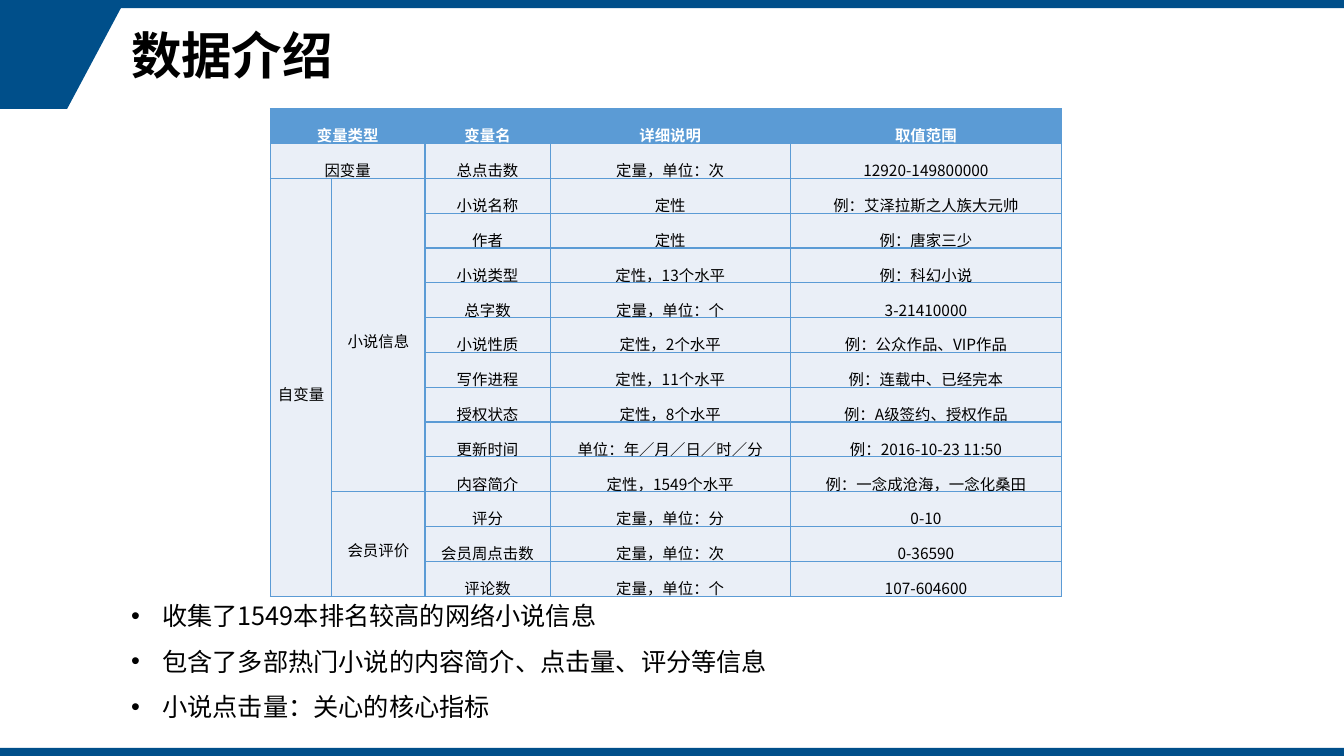
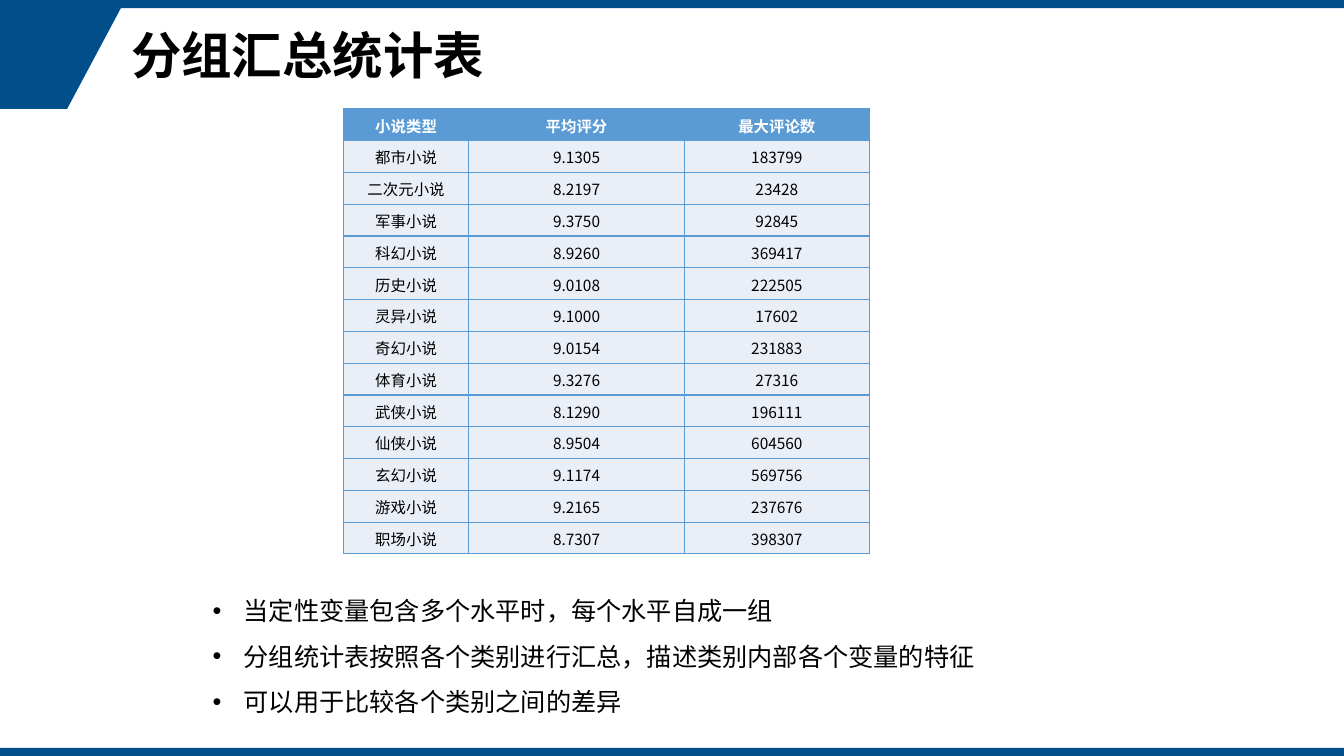
from lxml.etree import SubElement
from pptx import Presentation
from pptx.dml.color import RGBColor
from pptx.enum.shapes import MSO_SHAPE
from pptx.enum.text import MSO_ANCHOR, MSO_AUTO_SIZE, PP_ALIGN
from pptx.oxml.ns import qn
from pptx.util import Inches, Pt

# The slide is a grid of 160 columns by 90 rows of square units.
UNIT = Inches(1) // 12
COLS, ROWS = 160, 90
BAND = 0.96
HEAD = (14.4, BAND, 134.6, 12)
TOP = BAND + 12
FONT = "Noto Sans CJK SC"
NAVY = RGBColor(0x00, 0x4F, 0x8A)
BLUE = RGBColor(0x5B, 0x9B, 0xD5)
PALE = RGBColor(0xEA, 0xEF, 0xF7)
BLACK = RGBColor(0, 0, 0)
WHITE = RGBColor(255, 255, 255)

FIELDS = [
    ("变量类型", "", "变量名", "详细说明", "取值范围"),
    ("因变量", "", "总点击数", "定量，单位：次", "12920-149800000"),
    ("自变量", "小说信息", "小说名称", "定性", "例：艾泽拉斯之人族大元帅"),
    ("", "", "作者", "定性", "例：唐家三少"),
    ("", "", "小说类型", "定性，13个水平", "例：科幻小说"),
    ("", "", "总字数", "定量，单位：个", "3-21410000"),
    ("", "", "小说性质", "定性，2个水平", "例：公众作品、VIP作品"),
    ("", "", "写作进程", "定性，11个水平", "例：连载中、已经完本"),
    ("", "", "授权状态", "定性，8个水平", "例：A级签约、授权作品"),
    ("", "", "更新时间", "单位：年／月／日／时／分", "例：2016-10-23 11:50"),
    ("", "", "内容简介", "定性，1549个水平", "例：一念成沧海，一念化桑田"),
    ("", "会员评价", "评分", "定量，单位：分", "0-10"),
    ("", "", "会员周点击数", "定量，单位：次", "0-36590"),
    ("", "", "评论数", "定量，单位：个", "107-604600"),
]
# First row, first column, last row, last column
SPANS = [(0, 0, 0, 1), (1, 0, 1, 1), (2, 0, 13, 0), (2, 1, 10, 1), (11, 1, 13, 1)]

GENRES = [
    ("小说类型", "平均评分", "最大评论数"),
    ("都市小说", "9.1305", "183799"),
    ("二次元小说", "8.2197", "23428"),
    ("军事小说", "9.3750", "92845"),
    ("科幻小说", "8.9260", "369417"),
    ("历史小说", "9.0108", "222505"),
    ("灵异小说", "9.1000", "17602"),
    ("奇幻小说", "9.0154", "231883"),
    ("体育小说", "9.3276", "27316"),
    ("武侠小说", "8.1290", "196111"),
    ("仙侠小说", "8.9504", "604560"),
    ("玄幻小说", "9.1174", "569756"),
    ("游戏小说", "9.2165", "237676"),
    ("职场小说", "8.7307", "398307"),
]


def grid(*units):
    return [round(n * UNIT) for n in units]


def place(shape, box):
    shape.left, shape.top, shape.width, shape.height = grid(*box)


def style(para, size, color=BLACK, bold=False):
    for run in para.runs:
        font = run.font
        font.size, font.bold, font.name = Pt(size), bold, FONT
        font.color.rgb = color
        SubElement(run._r.get_or_add_rPr(), qn("a:ea"), typeface=FONT)


def frame(layout, slide):
    """Move the corner and both bands to the layout, and set its title."""
    shapes = slide.shapes
    left, top, width, height = HEAD
    pen = shapes.build_freeform(*grid(0, top), scale=1.0)
    low = top + height
    pen.add_line_segments([grid(left, top), grid(8, low), grid(0, low)])
    parts = [pen.convert_to_shape()]
    for y in (0, ROWS - BAND):
        parts.append(shapes.add_shape(MSO_SHAPE.RECTANGLE, *grid(0, y, COLS, BAND)))
    for spot, part in enumerate(parts, 2):
        part.shadow.inherit = False
        part.fill.solid()
        part.fill.fore_color.rgb = NAVY
        part.line.fill.background()
        layout.shapes._spTree.insert(spot, part._element)
    place(layout.placeholders[0], HEAD)


def title(slide, text):
    text_frame = slide.shapes.title.text_frame
    text_frame.text = text
    text_frame.vertical_anchor = MSO_ANCHOR.MIDDLE
    para = text_frame.paragraphs[0]
    para.alignment, para.line_spacing = PP_ALIGN.LEFT, 0.9
    style(para, 36, bold=True)


def points(slide, box, lines):
    body = slide.placeholders[1]
    place(body, box)
    text_frame = body.text_frame
    text_frame.text = "\n".join(lines)
    text_frame.auto_size = MSO_AUTO_SIZE.SHAPE_TO_FIT_TEXT
    for para in text_frame.paragraphs:
        props = para._p.get_or_add_pPr()
        props.set("marL", str(Inches(0.31)))
        props.set("indent", str(-Inches(0.31)))
        para.line_spacing, para.space_before = 1.5, Pt(0)
        SubElement(props, qn("a:buFont"), typeface="Arial")
        SubElement(props, qn("a:buChar"), char="•")
        style(para, 18)


def border(cell):
    props = cell._tc.get_or_add_tcPr()
    for side in ("a:lnL", "a:lnR", "a:lnT", "a:lnB"):
        line = SubElement(props, qn(side), w=str(Pt(1)))
        fill = SubElement(line, qn("a:solidFill"))
        SubElement(fill, qn("a:srgbClr"), val=str(BLUE))


def table(slide, box, widths, rows, pads, spacing=None, spans=()):
    """Draw a table; pads are the side, top and bottom margins in inches."""
    sheet = slide.shapes.add_table(len(rows), len(widths), *grid(*box)).table
    for col, width in zip(sheet.columns, grid(*widths)):
        col.width = width
    side, top, bottom = map(Inches, pads)
    for r, row in enumerate(rows):
        for c, text in enumerate(row):
            cell = sheet.cell(r, c)
            cell.text = text
            cell.vertical_anchor = MSO_ANCHOR.MIDDLE
            cell.margin_left = cell.margin_right = side
            cell.margin_top, cell.margin_bottom = top, bottom
            border(cell)
            cell.fill.solid()
            cell.fill.fore_color.rgb = PALE if r else BLUE
            para = cell.text_frame.paragraphs[0]
            para.alignment, para.line_spacing = PP_ALIGN.CENTER, spacing
            # An empty cell would otherwise keep the 18 point default
            para.font.size = Pt(11)
            style(para, 11, BLACK if r else WHITE, bold=not r)
    for r, c, last, end in spans:
        sheet.cell(r, c).merge(sheet.cell(last, end))


def data(slide):
    title(slide, "数据介绍")
    table(slide, (32.2, TOP, 94.2, 53), (7.3, 11.1, 14.9, 28.6, 32.3),
          FIELDS, (0.05, 0.04, 0.03), 1.5, SPANS)
    points(slide, (14.4, 69.1, 120.6, 16.9), [
        "收集了1549本排名较高的网络小说信息",
        "包含了多部热门小说的内容简介、点击量、评分等信息",
        "小说点击量：关心的核心指标",
    ])


def groups(slide):
    title(slide, "分组汇总统计表")
    table(slide, (40.9, TOP, 62.6, 53), (14.9, 25.7, 22), GENRES, (0.01, 0.01, 0))
    points(slide, (24.1, 68.5, 96.1, 17), [
        "当定性变量包含多个水平时，每个水平自成一组",
        "分组统计表按照各个类别进行汇总，描述类别内部各个变量的特征",
        "可以用于比较各个类别之间的差异",
    ])


def main():
    deck = Presentation()
    deck.slide_width, deck.slide_height = grid(COLS, ROWS)
    layout = deck.slide_layouts[1]
    first, second = (deck.slides.add_slide(layout) for _ in range(2))
    frame(layout, first)
    data(first)
    groups(second)
    deck.save("out.pptx")


if __name__ == "__main__":
    main()
